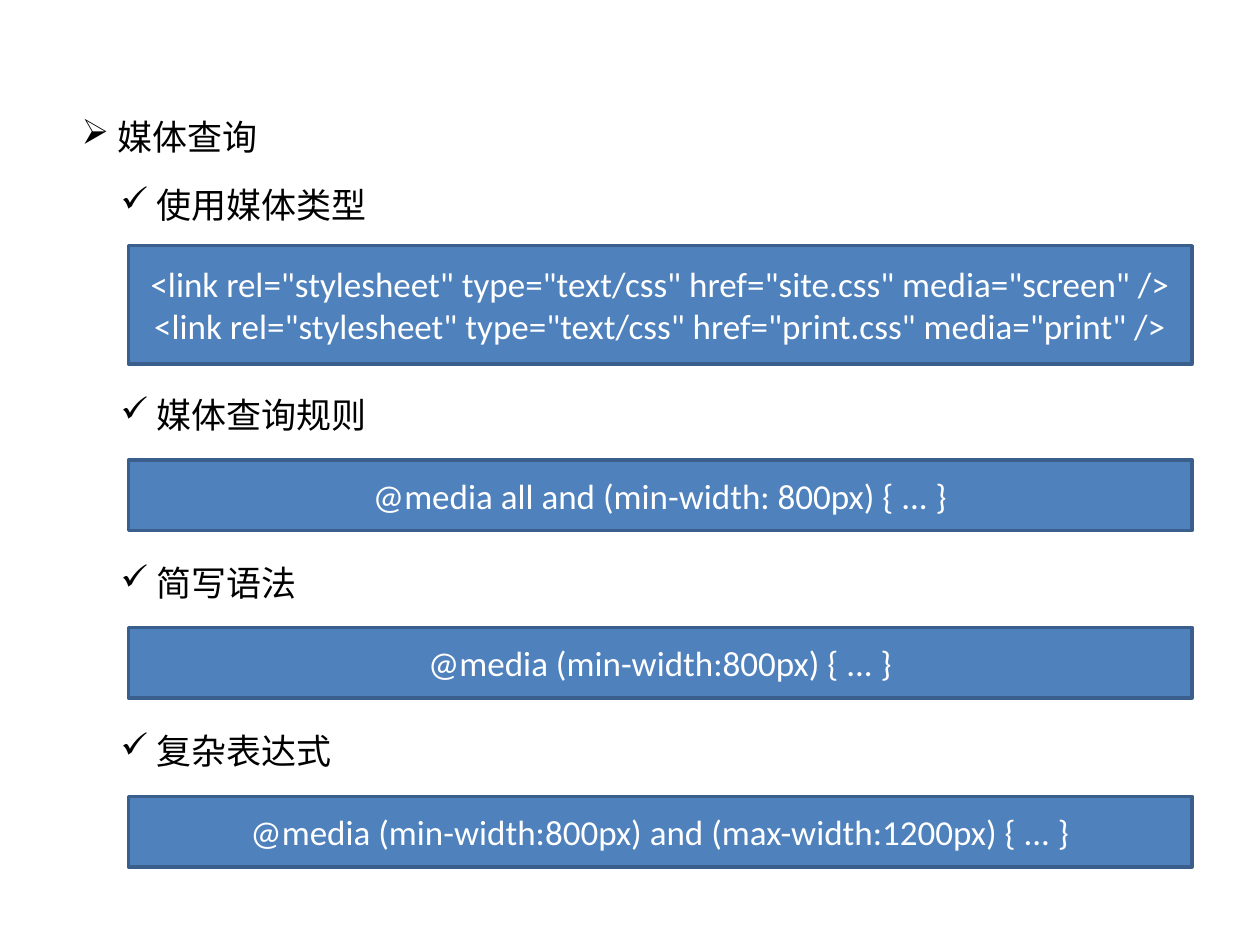
from dataclasses import dataclass

from lxml.etree import SubElement
from pptx import Presentation
from pptx.dml.color import RGBColor
from pptx.enum.shapes import MSO_SHAPE
from pptx.enum.text import MSO_ANCHOR, PP_ALIGN
from pptx.oxml.ns import qn
from pptx.slide import Slide
from pptx.util import Inches, Pt

BLACK = RGBColor(0x00, 0x00, 0x00)
WHITE = RGBColor(0xFF, 0xFF, 0xFF)
BLUE = RGBColor(0x4F, 0x81, 0xBD)
DARK_BLUE = RGBColor(0x3A, 0x5F, 0x8C)
CODE_FONT = "Calibri"
HEADING_FONT = "Noto Sans CJK SC"
FONT_SIZE = Pt(20)
LINE_HEIGHT = 24
BULLET_INDENT = Inches(0.21)
SLIDE_WIDTH = Inches(10)
SLIDE_HEIGHT = Inches(7.5)
COLUMN = SLIDE_WIDTH / 100
ROW = SLIDE_HEIGHT / 75


@dataclass(frozen=True)
class Area:
    """A place on the grid of columns and rows."""

    left: float
    top: float
    width: float
    height: float

    def lengths(self) -> list[int]:
        """Return left, top, width and height in slide units."""
        return [
            round(self.left * COLUMN),
            round(self.top * ROW),
            round(self.width * COLUMN),
            round(self.height * ROW),
        ]


@dataclass(frozen=True)
class Heading:
    """A bulleted line and the number of free lines above it."""

    text: str
    lines_above: int = 0


@dataclass(frozen=True)
class CodeBox:
    """A band of code lines at a row of the grid."""

    top: float
    height: float
    lines: tuple[str, ...]


TOPIC = Heading("媒体查询")
SECTIONS = [
    Heading("使用媒体类型"),
    Heading("媒体查询规则", 4),
    Heading("简写语法", 3),
    Heading("复杂表达式", 3),
]
CODE_BOXES = [
    CodeBox(19.5, 9.4, (
        '<link rel="stylesheet" type="text/css" href="site.css" media="screen" />',
        '<link rel="stylesheet" type="text/css" href="print.css" media="print" />',
    )),
    CodeBox(36.5, 5.6, ("@media all and (min-width: 800px) { ... }",)),
    CodeBox(49.8, 5.6, ("@media (min-width:800px) { ... }",)),
    CodeBox(63.2, 5.6, ("@media (min-width:800px) and (max-width:1200px) { ... }",)),
]


def add_headings(
    slide: Slide, area: Area, headings: list[Heading], bullet: str, line_height: float
) -> None:
    """Add a text box of bulleted headings."""
    frame = slide.shapes.add_textbox(*area.lengths()).text_frame
    frame.word_wrap = True
    for index, heading in enumerate(headings):
        paragraph = frame.add_paragraph() if index else frame.paragraphs[0]
        paragraph.text = f" {heading.text}"
        paragraph.line_spacing = Pt(line_height)
        paragraph.space_before = Pt(heading.lines_above * LINE_HEIGHT)
        properties = paragraph._p.get_or_add_pPr()
        properties.set("marL", str(BULLET_INDENT))
        properties.set("indent", str(-BULLET_INDENT))
        SubElement(properties, qn("a:buChar"), char=bullet)
        font = paragraph.font
        font.size = FONT_SIZE
        font.name = HEADING_FONT
        font.color.rgb = BLACK
        SubElement(properties.find(qn("a:defRPr")), qn("a:ea"), typeface=HEADING_FONT)


def add_code_box(slide: Slide, box: CodeBox) -> None:
    """Add a filled rectangle with centred code."""
    area = Area(10.2, box.top, 84.4, box.height)
    shape = slide.shapes.add_shape(MSO_SHAPE.RECTANGLE, *area.lengths())
    shape.shadow.inherit = False
    shape.fill.solid()
    shape.fill.fore_color.rgb = BLUE
    shape.line.color.rgb = DARK_BLUE
    shape.line.width = Pt(2)
    frame = shape.text_frame
    frame.word_wrap = True
    frame.vertical_anchor = MSO_ANCHOR.MIDDLE
    frame.text = "\n".join(box.lines)
    for paragraph in frame.paragraphs:
        paragraph.alignment = PP_ALIGN.CENTER
        paragraph.font.size = FONT_SIZE
        paragraph.font.name = CODE_FONT
        paragraph.font.color.rgb = WHITE


def main() -> None:
    """Build and save the media query slide."""
    presentation = Presentation()
    presentation.slide_width = SLIDE_WIDTH
    presentation.slide_height = SLIDE_HEIGHT
    slide = presentation.slides.add_slide(presentation.slide_layouts[6])
    add_headings(slide, Area(5.5, 7, 89.1, 5.5), [TOPIC], "➢", 1.5 * LINE_HEIGHT)
    add_headings(slide, Area(8.6, 14.1, 88.3, 48.1), SECTIONS, "✓", LINE_HEIGHT)
    for box in CODE_BOXES:
        add_code_box(slide, box)
    presentation.save("out.pptx")


if __name__ == "__main__":
    main()
